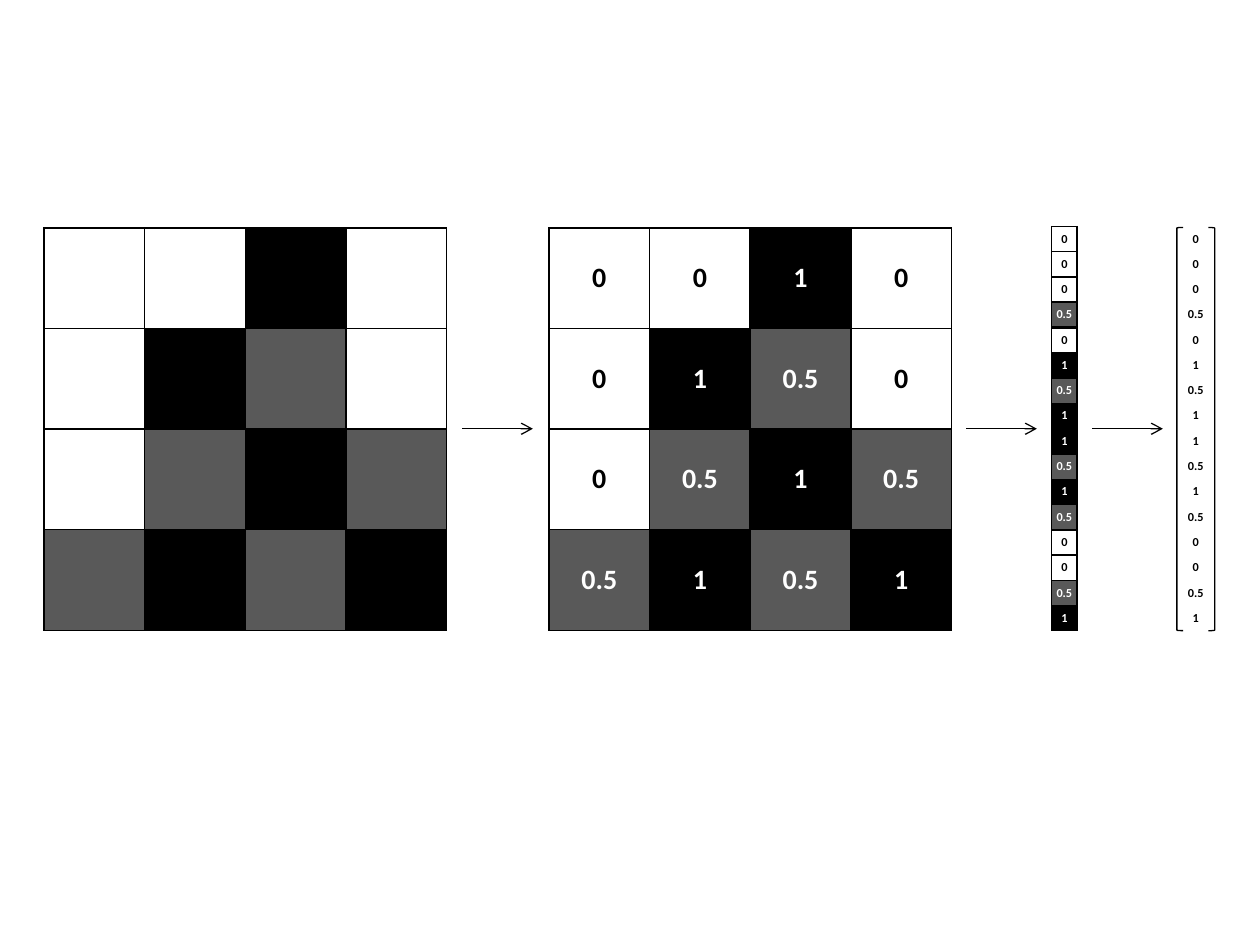
from dataclasses import dataclass

from lxml import etree
from pptx import Presentation
from pptx.dml.color import RGBColor
from pptx.enum import shapes, text
from pptx.oxml import ns
from pptx.util import Pt


@dataclass(frozen=True)
class Theme:
    """Colours and type sizes of the slide."""
    black: RGBColor = RGBColor(0, 0, 0)
    gray: RGBColor = RGBColor(0x59, 0x59, 0x59)
    white: RGBColor = RGBColor(255, 255, 255)
    font: str = "Calibri"
    big: float = 16
    small: float = 7
    edge: float = 1
    line: float = 0.75


THEME = Theme()
SHADES = {"0": THEME.white, "0.5": THEME.gray, "1": THEME.black}
PIXELS = [
    ["0", "0", "1", "0"],
    ["0", "1", "0.5", "0"],
    ["0", "0.5", "1", "0.5"],
    ["0.5", "1", "0.5", "1"],
]


def add_edges(cell, lined):
    """Draw all four borders of a cell, or clear them."""
    props = cell._tc.get_or_add_tcPr()
    for spot, side in enumerate(("a:lnL", "a:lnR", "a:lnT", "a:lnB")):
        edge = etree.Element(ns.qn(side), w=str(Pt(THEME.edge)))
        if lined:
            fill = etree.SubElement(edge, ns.qn("a:solidFill"))
            etree.SubElement(fill, ns.qn("a:srgbClr"), val=str(THEME.black))
        else:
            etree.SubElement(edge, ns.qn("a:noFill"))
        props.insert(spot, edge)


def add_grid(slide, box, rows, size, pad=None, label=True, shade=True):
    """Place a table of pixel values in a box."""
    left, top, width, height = map(Pt, box)
    table = slide.shapes.add_table(
        len(rows), len(rows[0]), left, top, width, height).table
    table.first_row = table.horz_banding = False
    for r, row in enumerate(rows):
        for c, value in enumerate(row):
            cell = table.cell(r, c)
            cell.fill.solid()
            cell.fill.fore_color.rgb = SHADES[value] if shade else THEME.white
            cell.vertical_anchor = text.MSO_ANCHOR.MIDDLE
            if pad is not None:
                cell.margin_left = cell.margin_right = Pt(pad)
                cell.margin_top = cell.margin_bottom = Pt(pad)
            add_edges(cell, shade)
            if label:
                para = cell.text_frame.paragraphs[0]
                para.text = value
                para.alignment = text.PP_ALIGN.CENTER
                para.font.name = THEME.font
                para.font.size = Pt(size)
                para.font.bold = True
                dark = shade and value != "0"
                para.font.color.rgb = THEME.white if dark else THEME.black


def add_stack(slide, box, shade):
    """Stack the pixel columns from top to bottom in a narrow box."""
    left, top, width, height = box
    step = height / len(PIXELS)
    for i, column in enumerate(zip(*PIXELS)):
        add_grid(slide, (left, top + i * step, width, step - 0.3),
                 [[value] for value in column], THEME.small, 1, shade=shade)


def add_vector(slide, box):
    """Place the plain values between two square brackets."""
    left, top, width, height = box
    depth = 3.6
    add_stack(slide, (left + depth, top, width - 2 * depth, height), False)
    for x, turn in ((left, 0), (left + width - depth, 180)):
        mark = slide.shapes.add_shape(
            shapes.MSO_SHAPE.LEFT_BRACKET, Pt(x), Pt(top + 0.5), Pt(depth), Pt(height - 0.8))
        mark.rotation = turn
        mark.shadow.inherit = False
        mark.fill.background()
        mark.line.color.rgb = THEME.black
        mark.line.width = Pt(THEME.line)


def add_arrow(slide, left, level, width):
    """Draw an arrow to the right."""
    arrow = slide.shapes.add_connector(
        shapes.MSO_CONNECTOR.STRAIGHT, Pt(left), Pt(level), Pt(left + width), Pt(level))
    arrow.line.color.rgb = THEME.black
    arrow.line.width = Pt(THEME.line)
    etree.SubElement(arrow.line._get_or_add_ln(), ns.qn("a:tailEnd"), type="arrow")
    etree.SubElement(arrow._element.spPr, ns.qn("a:effectLst"))


def main():
    """Build the slide and save it."""
    deck = Presentation()
    deck.slide_width, deck.slide_height = Pt(720), Pt(540)
    slide = deck.slides.add_slide(deck.slide_layouts[6])
    top, side = 130.2, 230
    add_grid(slide, (25.2, top, side, side), PIXELS, THEME.big, label=False)
    add_grid(slide, (313.7, top, side, side), PIXELS, THEME.big)
    add_stack(slide, (601, top - 0.7, 14.4, 231.2), True)
    add_vector(slide, (672.5, top - 0.7, 21.6, 231.2))
    for left in (264.2, 552.2, 624.2):
        add_arrow(slide, left, top + side / 2 - 0.2, 40.3)
    deck.save("out.pptx")


if __name__ == "__main__":
    main()
